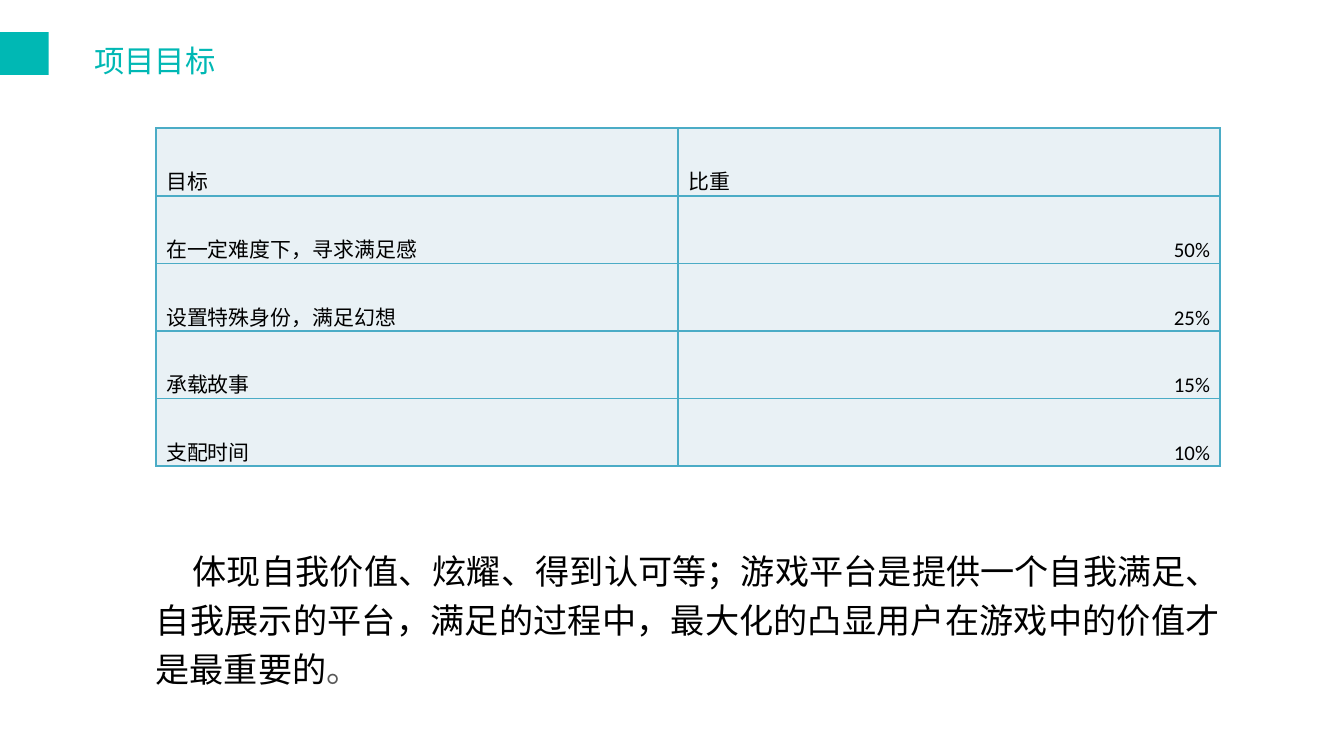
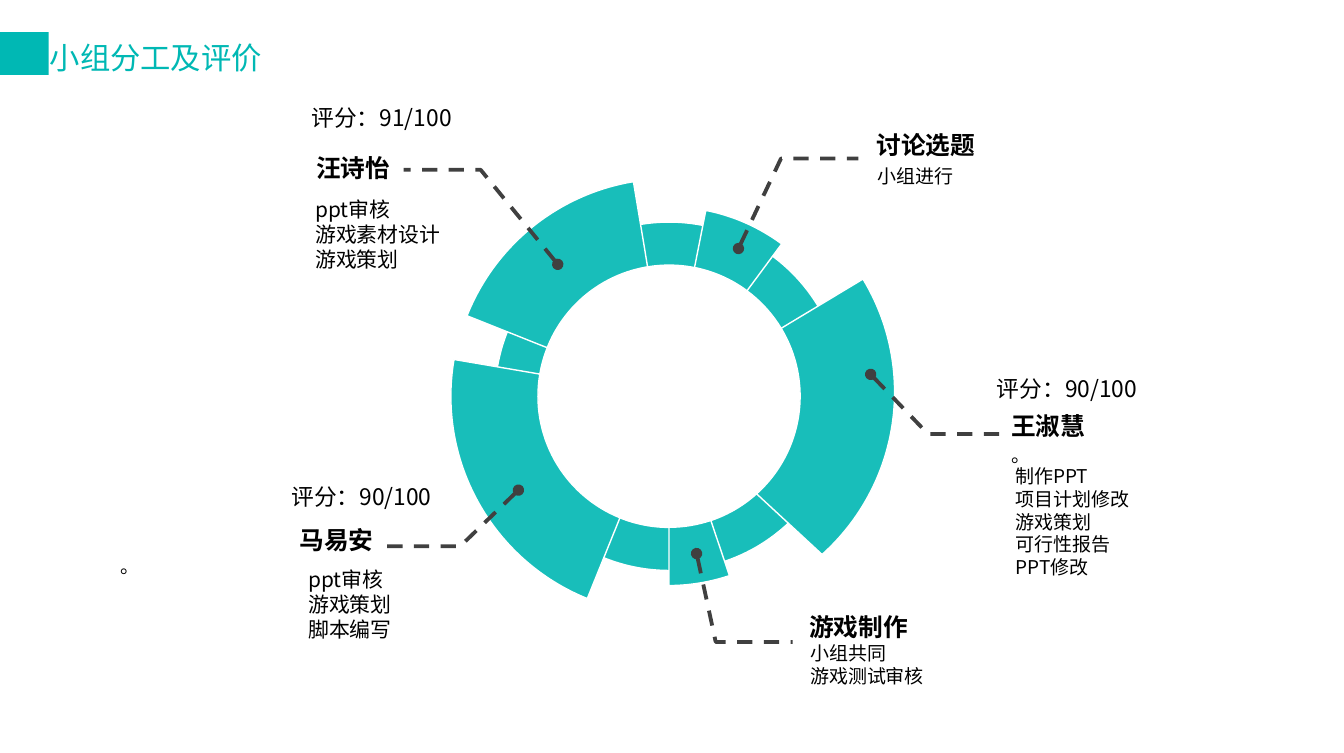
import math

from lxml import etree
from pptx import Presentation
from pptx.dml.color import RGBColor
from pptx.enum.dml import MSO_LINE
from pptx.enum.shapes import MSO_SHAPE
from pptx.enum.text import MSO_ANCHOR, MSO_AUTO_SIZE, PP_ALIGN
from pptx.oxml.ns import qn
from pptx.util import Pt

LEFT, CENTER, RIGHT, JUSTIFY = PP_ALIGN.LEFT, PP_ALIGN.CENTER, PP_ALIGN.RIGHT, PP_ALIGN.JUSTIFY
TOP, BOTTOM = MSO_ANCHOR.TOP, MSO_ANCHOR.BOTTOM
FIXED, GROW = MSO_AUTO_SIZE.NONE, MSO_AUTO_SIZE.SHAPE_TO_FIT_TEXT
DASH = MSO_LINE.DASH
RECTANGLE, DONUT = MSO_SHAPE.RECTANGLE, MSO_SHAPE.DONUT

COLORS = {
    "accent": "00B8B4", "wheel": "18BEBA", "white": "FFFFFF", "ink": "000000",
    "gray": "595959", "leader": "404040", "cell": "E9F1F5", "border": "4BACC6",
}
FONT = "Noto Sans CJK SC"
TABLE_FONT = "Calibri"
SLIDE_SIZE = (708.5, 396.8)
BAND = (-76.3, 17, 102, 22.5)
NO_MARGINS = (0, 0, 0, 0)

GOALS_TITLE = ("项目目标", (36.7, 18.3, 90, 33.8))
GOALS = [
    ("目标", "比重"),
    ("在一定难度下，寻求满足感", "50%"),
    ("设置特殊身份，满足幻想", "25%"),
    ("承载故事", "15%"),
    ("支配时间", "10%"),
]
GOALS_AT = (82.2, 67.5)
GOALS_COLUMNS = (275.3, 285.8)
GOALS_ROW = 35.65
SUMMARY = [[
    ("体现自我价值、炫耀、得到认可等；游戏平台是提供一个自我满足、自我展示的平台，"
     "满足的过程中，最大化的凸显用户在游戏中的价值才是最重要的", "ink"),
    ("。", "gray"),
]]
SUMMARY_AT = (82.1, 285.5, 561.5, 76.3)

TEAM_TITLE = ("小组分工及评价", (-8.5, 16.9, 181.4, 33.8))
HUB = (352.7, 208.8)
EAST_HUB = (356.6, 206.6)
INNER, OUTER = 69.1, 91.8
SECTORS = [
    (HUB, 161.4, 180, 99.8),
    (HUB, 11.2, 36.5, 99.8),
    (HUB, 202, 279.7, 115),
    (HUB, 291.7, 350.6, 114.6),
    (EAST_HUB, 58.8, 138.1, 115),
]
LEADERS = [
    [(389.3, 131), (411.7, 83.6), (452.5, 83.6)],
    [(367.2, 291.7), (377.3, 338.3), (417.8, 338.3)],
    [(273.3, 258.3), (242.6, 287.9), (203.3, 287.9)],
    [(294, 139.3), (253.4, 89.5), (212.8, 89.5)],
    [(459, 197.3), (489.2, 228.7), (528, 228.7)],
]
HEADINGS = [
    ("讨论选题", (455, 64.8, 91.4, 23), LEFT),
    ("游戏制作", (419.6, 319, 91.4, 23), LEFT),
    ("马易安", (88.8, 272.9, 115.2, 23), RIGHT),
    ("汪诗怡", (97.4, 77, 115.2, 23), RIGHT),
    ("王淑慧", (526.1, 213.1, 112.3, 23), LEFT),
]
DETAILS = [
    (["小组进行"], (455.6, 83.2, 153.4, 19.4), 10),
    (["小组共同", "游戏测试审核"], (420.1, 334.6, 154.8, 31.7), 10),
    (["制作PPT", "项目计划修改", "游戏策划", "可行性报告", "PPT修改"],
     (528.3, 241.2, 147.6, 67.7), 10),
    (["。"], (56.2, 288.7, 148.3, 19.4), 10),
    (["。"], (526.3, 230.4, 144, 20.9), 10),
]
NOTES = [
    (["ppt审核", "游戏素材设计", "游戏策划"], (159.1, 100.1, 83.5, 47.5), 11),
    (["ppt审核", "游戏策划", "脚本编写"], (155.4, 295.2, 59, 47.5), 11),
    (["评分：91/100"], (157.1, 51.1, 91.4, 21.6), 12),
    (["评分：90/100"], (146.5, 250.6, 91.4, 21.6), 12),
    (["评分：90/100"], (518.4, 193.9, 91.4, 21.6), 12),
]


def color(name):
    return RGBColor.from_string(COLORS[name])


def points(values):
    return [Pt(value) for value in values]


def write(frame, paras, size=10, font=FONT, ink="ink", bold=False, align=LEFT,
          spacing=None, indent=0, wrap=True, margins=(7.2, 3.6, 7.2, 3.6)):
    frame.word_wrap = wrap
    frame.margin_left, frame.margin_top, frame.margin_right, frame.margin_bottom = points(margins)
    for index, content in enumerate(paras):
        para = frame.add_paragraph() if index else frame.paragraphs[0]
        para.alignment = align
        if spacing:
            para.line_spacing = spacing
        if indent:
            para._p.get_or_add_pPr().set("indent", str(Pt(indent)))
        for text, tone in [(content, ink)] if isinstance(content, str) else content:
            span = para.add_run()
            span.text = text
            span.font.size = Pt(size)
            span.font.bold = bold
            span.font.name = font
            span.font.color.rgb = color(tone)
            east = etree.SubElement(span._r.get_or_add_rPr(), qn("a:ea"))
            east.set("typeface", FONT)


def add_text(page, paras, place, **style):
    box = page.shapes.add_textbox(*points(place))
    write(box.text_frame, paras, **style)
    box.text_frame.auto_size = GROW


def paint(shape, fill=None, line=None, width=0.75):
    shape.shadow.inherit = False
    if fill:
        shape.fill.solid()
        shape.fill.fore_color.rgb = color(fill)
    else:
        shape.fill.background()
    if line:
        shape.line.color.rgb = color(line)
        shape.line.width = Pt(width)
    else:
        shape.line.fill.background()


def add_page(deck, title, place):
    page = deck.slides.add_slide(deck.slide_layouts[5])
    heading = page.shapes.title
    heading.left, heading.top, heading.width, heading.height = points(place)
    write(heading.text_frame, [title], size=16, ink="accent", align=CENTER,
          spacing=1.2, margins=NO_MARGINS)
    heading.text_frame.vertical_anchor = TOP
    heading.text_frame.auto_size = FIXED
    paint(page.shapes.add_shape(RECTANGLE, *points(BAND)), fill="accent")
    return page


def add_outline(page, vertices, closed):
    vertices = [points(vertex) for vertex in vertices]
    builder = page.shapes.build_freeform(*vertices[0])
    builder.add_line_segments(vertices[1:], close=closed)
    return builder.convert_to_shape()


def arc(hub, start, end, radius):
    half = math.radians(end - start) / 2
    handle = 4 / 3 * math.tan(half / 4) * radius
    vertices = []
    for step in range(3):
        angle = math.radians(start) + half * step
        across, down = math.sin(angle), -math.cos(angle)
        for shift in (-handle, 0, handle):
            vertices.append((hub[0] + radius * across - shift * down,
                             hub[1] + radius * down + shift * across))
    return vertices[1:-1]


def add_sector(page, hub, start, end, radius):
    vertices = arc(hub, start, end, radius) + arc(HUB, end, start, INNER)
    sector = add_outline(page, vertices, closed=True)
    segments = list(sector._element.iter(qn("a:lnTo")))
    for first in (0, 3, 7, 10):
        curve = etree.Element(qn("a:cubicBezTo"))
        segments[first].addprevious(curve)
        for segment in segments[first:first + 3]:
            curve.append(segment[0])
            segment.getparent().remove(segment)
    paint(sector, fill="wheel", line="white")


def add_leader(page, vertices):
    leader = add_outline(page, vertices, closed=False)
    paint(leader, line="leader", width=2)
    leader.line.dash_style = DASH
    etree.SubElement(leader.line._get_or_add_ln(), qn("a:headEnd")).set("type", "oval")


def border_cell(cell):
    properties = cell._tc.get_or_add_tcPr()
    for side in ("a:lnL", "a:lnR", "a:lnT", "a:lnB"):
        edge = etree.SubElement(properties, qn(side))
        edge.set("w", str(Pt(1)))
        fill = etree.SubElement(edge, qn("a:solidFill"))
        etree.SubElement(fill, qn("a:srgbClr")).set("val", COLORS["border"])


def add_goals_table(page):
    size = (sum(GOALS_COLUMNS), GOALS_ROW * len(GOALS))
    table = page.shapes.add_table(len(GOALS), len(GOALS_COLUMNS), *points(GOALS_AT + size)).table
    table.first_row = table.horz_banding = False
    for column, width in zip(table.columns, GOALS_COLUMNS):
        column.width = Pt(width)
    for row, values in enumerate(GOALS):
        table.rows[row].height = Pt(GOALS_ROW)
        for column, text in enumerate(values):
            cell = table.cell(row, column)
            border_cell(cell)
            cell.fill.solid()
            cell.fill.fore_color.rgb = color("cell")
            write(cell.text_frame, [text], size=11, font=TABLE_FONT, margins=NO_MARGINS,
                  align=RIGHT if row and column else JUSTIFY)
            cell.vertical_anchor = BOTTOM
            cell.margin_left = cell.margin_right = Pt(5.4)
            cell.margin_top = cell.margin_bottom = 0


def add_wheel(page):
    place = (HUB[0] - OUTER, HUB[1] - OUTER, 2 * OUTER, 2 * OUTER)
    ring = page.shapes.add_shape(DONUT, *points(place))
    ring.adjustments[0] = (OUTER - INNER) / (2 * OUTER)
    paint(ring, fill="wheel", line="white")
    for sector in SECTORS:
        add_sector(page, *sector)


def main():
    deck = Presentation()
    deck.slide_width, deck.slide_height = points(SLIDE_SIZE)

    goals = add_page(deck, *GOALS_TITLE)
    add_goals_table(goals)
    add_text(goals, SUMMARY, SUMMARY_AT, size=18, align=JUSTIFY, spacing=1.2,
             indent=19.5, margins=NO_MARGINS)

    team = add_page(deck, *TEAM_TITLE)
    add_wheel(team)
    for vertices in LEADERS:
        add_leader(team, vertices)
    for text, place, align in HEADINGS:
        add_text(team, [text], place, size=13, bold=True, align=align)
    for group, wrap in ((DETAILS, True), (NOTES, False)):
        for lines, place, size in group:
            add_text(team, lines, place, size=size, wrap=wrap)

    deck.save("out.pptx")


if __name__ == "__main__":
    main()
